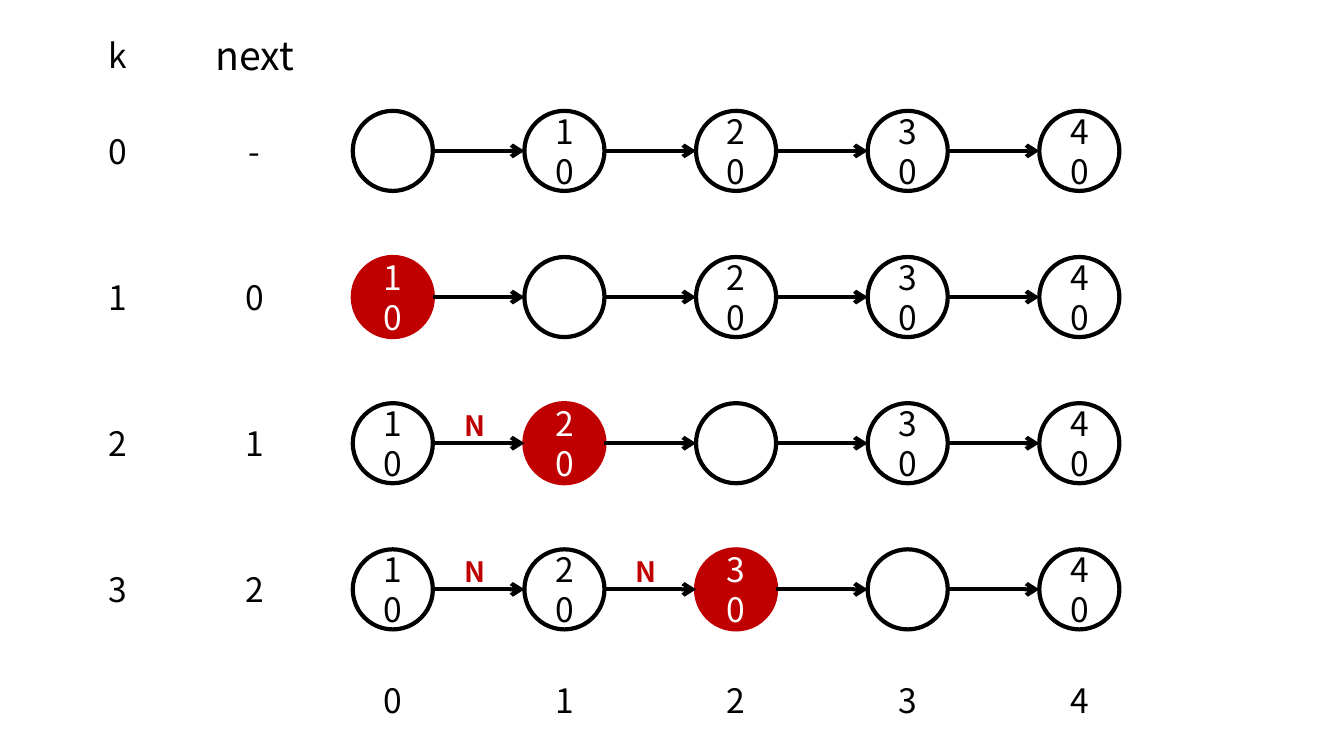
from lxml import etree
from pptx import Presentation
from pptx.dml.color import RGBColor
from pptx.enum.shapes import MSO_CONNECTOR, MSO_SHAPE
from pptx.enum.text import MSO_ANCHOR, MSO_AUTO_SIZE, PP_ALIGN
from pptx.oxml.ns import qn
from pptx.util import Pt

OVAL, STRAIGHT = MSO_SHAPE.OVAL, MSO_CONNECTOR.STRAIGHT
CENTER, LEFT = PP_ALIGN.CENTER, PP_ALIGN.LEFT
MIDDLE, TOP = MSO_ANCHOR.MIDDLE, MSO_ANCHOR.TOP
GROW = MSO_AUTO_SIZE.SHAPE_TO_FIT_TEXT

COLORS = {"ink": "000000", "red": "C00000", "white": "FFFFFF"}
FONT = "Noto Sans CJK KR"

# One step per row; "active" is the red node, "skipped" the arrows marked N.
STEPS = [
    {"k": "0", "next": "-", "nodes": ["", "10", "20", "30", "40"],
     "active": None, "skipped": []},
    {"k": "1", "next": "0", "nodes": ["10", "", "20", "30", "40"],
     "active": 0, "skipped": []},
    {"k": "2", "next": "1", "nodes": ["10", "20", "", "30", "40"],
     "active": 1, "skipped": [0]},
    {"k": "3", "next": "2", "nodes": ["10", "20", "30", "", "40"],
     "active": 2, "skipped": [0, 1]},
]
INDEXES = ["0", "1", "2", "3", "4"]

NODE = 57.2
LINE_WIDTH = 3
NODE_X, NODE_PITCH = 252, 122.6
STEP_Y, STEP_PITCH = 79.2, 104.4
K_X, NEXT_X = 55.4, 153.4
HEADER_Y, INDEX_Y = 10.8, 471.6
SKIP_OFFSET = 72.5


def rgb(name):
    """Return the named colour."""
    return RGBColor.from_string(COLORS[name])


def write(shape, text, size=24, color="ink", bold=False, align=CENTER,
          anchor=MIDDLE, wrap=True):
    """Put one formatted line of text into a shape."""
    tf = shape.text_frame
    tf.word_wrap = wrap
    tf.vertical_anchor = anchor
    p = tf.paragraphs[0]
    p.alignment = align
    r = p.add_run()
    r.text = text
    r.font.name, r.font.size, r.font.bold = FONT, Pt(size), bold
    r.font.color.rgb = rgb(color)


def add_circle(s, x, y, text, line=None, fill=None):
    """Add a node, or a bare label when there is no line."""
    sp = s.shapes.add_shape(OVAL, Pt(x), Pt(y), Pt(NODE), Pt(NODE))
    sp.shadow.inherit = False
    if fill:
        sp.fill.solid()
        sp.fill.fore_color.rgb = rgb(fill)
    else:
        sp.fill.background()
    if line:
        sp.line.color.rgb = rgb(line)
        sp.line.width = Pt(LINE_WIDTH)
    else:
        sp.line.fill.background()
    if text:
        write(sp, text, color="white" if fill else "ink")


def add_arrow(s, x1, x2, y):
    """Add a horizontal arrow between two nodes."""
    line = s.shapes.add_connector(STRAIGHT, Pt(x1), Pt(y), Pt(x2), Pt(y))
    line.line.color.rgb = rgb("ink")
    line.line.width = Pt(LINE_WIDTH)
    etree.SubElement(line.line._get_or_add_ln(), qn("a:tailEnd"), type="arrow")
    etree.SubElement(line._element.spPr, qn("a:effectLst"))


def add_text(s, x, y, w, h, text, **style):
    """Add a text box that grows with its text."""
    box = s.shapes.add_textbox(Pt(x), Pt(y), Pt(w), Pt(h))
    write(box, text, anchor=TOP, **style)
    box.text_frame.auto_size = GROW


def add_step(s, step, y):
    """Draw one row: its labels, nodes, arrows and skip marks."""
    add_circle(s, K_X, y, step["k"])
    add_circle(s, NEXT_X, y, step["next"])
    for i, value in enumerate(step["nodes"]):
        x = NODE_X + i * NODE_PITCH
        active = i == step["active"]
        add_circle(s, x, y, value, line="red" if active else "ink",
                   fill="red" if active else None)
        if i:
            add_arrow(s, x - NODE_PITCH + NODE, x, y + NODE / 2)
    for i in step["skipped"]:
        add_text(s, NODE_X + SKIP_OFFSET + i * NODE_PITCH, y, 26.6, 31.5, "N",
                 size=20, color="red", bold=True, align=LEFT, wrap=False)


prs = Presentation()
prs.slide_width, prs.slide_height = Pt(960), Pt(540)
s = prs.slides.add_slide(prs.slide_layouts[6])

add_circle(s, K_X, HEADER_Y, "k")
add_text(s, 132.7, 18.8, 98.6, 41.2, "next", size=28)
for row, step in enumerate(STEPS):
    add_step(s, step, STEP_Y + row * STEP_PITCH)
for i, index in enumerate(INDEXES):
    add_circle(s, NODE_X + i * NODE_PITCH, INDEX_Y, index)

prs.save("out.pptx")
